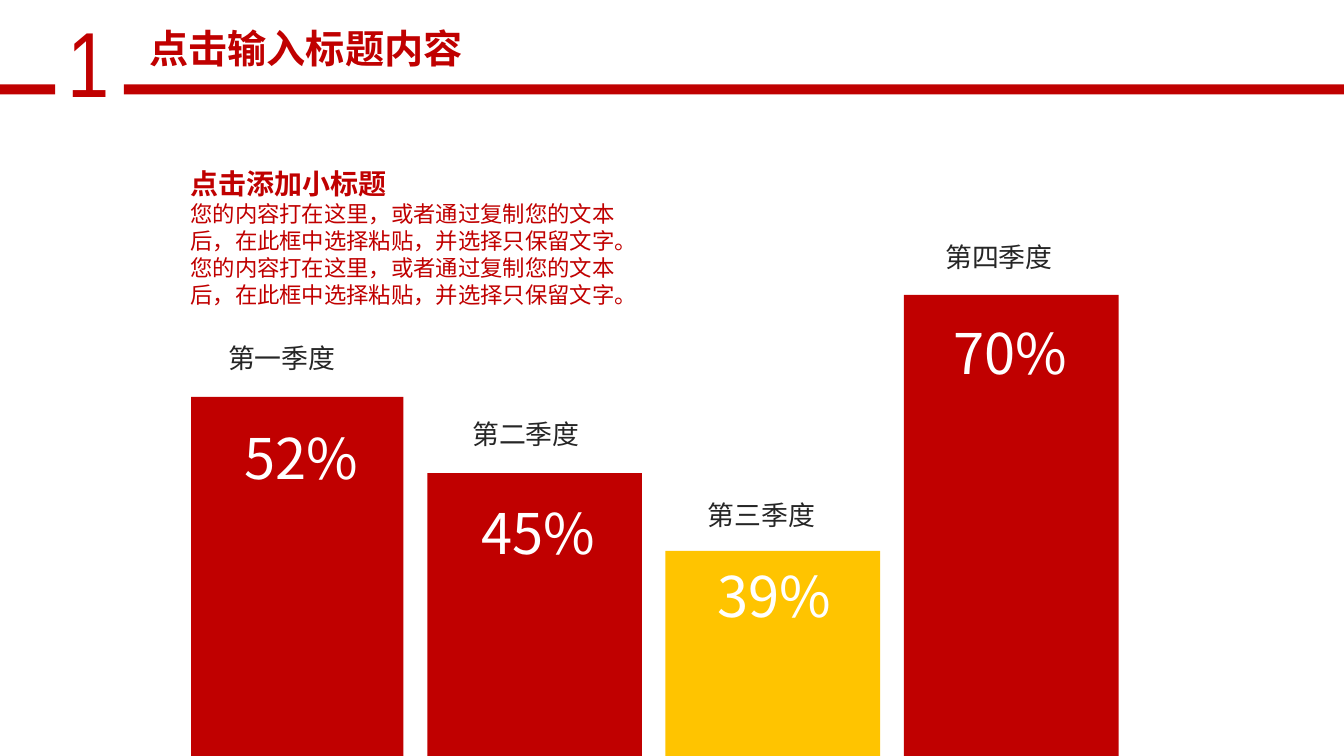
from dataclasses import dataclass

from lxml import etree
from pptx import Presentation
from pptx.dml.color import RGBColor
from pptx.enum.shapes import MSO_SHAPE
from pptx.enum.text import MSO_AUTO_SIZE, PP_ALIGN
from pptx.oxml.ns import qn
from pptx.util import Cm, Pt

RECTANGLE = MSO_SHAPE.RECTANGLE
FIT_SHAPE = MSO_AUTO_SIZE.SHAPE_TO_FIT_TEXT
LEFT, CENTER = PP_ALIGN.LEFT, PP_ALIGN.CENTER
SLIDE_WIDTH, SLIDE_HEIGHT = 33.87, 19.05


@dataclass(frozen=True)
class Theme:
    """Colours, fonts and type sizes of the slide."""

    red: str = "C00000"
    yellow: str = "FFC400"
    white: str = "FFFFFF"
    dark: str = "262626"
    font: str = "Noto Sans CJK SC"
    number_font: str = "Arial Narrow"
    number_size: int = 66
    percent_size: int = 40
    title_size: int = 28
    label_size: int = 24
    subtitle_size: int = 20
    body_size: int = 16


@dataclass(frozen=True)
class Box:
    """Position and size in centimetres."""

    left: float
    top: float
    width: float
    height: float


@dataclass(frozen=True)
class Quarter:
    """One column with its name and percentage."""

    name: str
    percent: str
    color: str
    bar: Box
    name_left: float
    name_top: float
    percent_left: float
    percent_top: float


THEME = Theme()


def column(left: float, top: float, width: float = 5.41) -> Box:
    """Return a column that stands on the bottom edge of the slide."""
    return Box(left, top, width, SLIDE_HEIGHT - top)


QUARTERS = (
    Quarter("第一季度", "52%", THEME.red, column(4.82, 10, 5.35), 5.55, 8.46, 5.92, 10.54),
    Quarter("第二季度", "45%", THEME.red, column(10.77, 11.92), 11.7, 10.36, 11.89, 12.42),
    Quarter("第三季度", "39%", THEME.yellow, column(16.77, 13.88), 17.64, 12.42, 17.83, 14.02),
    Quarter("第四季度", "70%", THEME.red, column(22.78, 7.43), 23.62, 5.92, 23.77, 7.9),
)
HEADER_LINES = (Box(3.12, 2.13, SLIDE_WIDTH - 3.12, 0.25), Box(0, 2.13, 1.39, 0.25))
BODY = "您的内容打在这里，或者通过复制您的文本后，在此框中选择粘贴，并选择只保留文字。"


def add_rectangle(slide, box: Box, color: str) -> None:
    """Draw a plain filled rectangle."""
    shape = slide.shapes.add_shape(
        RECTANGLE, Cm(box.left), Cm(box.top), Cm(box.width), Cm(box.height)
    )
    shape.shadow.inherit = False
    shape.fill.solid()
    shape.fill.fore_color.rgb = RGBColor.from_string(color)
    shape.line.fill.background()


def add_text_frame(slide, box: Box, wrap: bool = True, side: float = 0.25, edge: float = 0.13):
    """Add a text box and return its text frame."""
    shape = slide.shapes.add_textbox(Cm(box.left), Cm(box.top), Cm(box.width), Cm(box.height))
    text_frame = shape.text_frame
    text_frame.word_wrap = wrap
    text_frame.auto_size = FIT_SHAPE
    text_frame.margin_left = text_frame.margin_right = Cm(side)
    text_frame.margin_top = text_frame.margin_bottom = Cm(edge)
    return text_frame


def write(paragraph, text: str, *, size: int, color: str, font: str = THEME.font,
          bold: bool = False, small_caps: bool = False, align=LEFT,
          spacing: float = 1.0) -> None:
    """Write one formatted run into a paragraph."""
    paragraph.alignment = align
    paragraph.line_spacing = spacing
    run = paragraph.add_run()
    run.text = text
    run.font.size = Pt(size)
    run.font.bold = bold
    run.font.color.rgb = RGBColor.from_string(color)
    run.font.name = font
    properties = run._r.get_or_add_rPr()
    etree.SubElement(properties, qn("a:ea")).set("typeface", font)
    if small_caps:
        properties.set("cap", "small")


def add_header(slide) -> None:
    """Draw the section number, the red lines and the title."""
    number = add_text_frame(slide, Box(1.45, 0, 0.86, 3.07))
    write(number.paragraphs[0], "1", size=THEME.number_size, color=THEME.red,
          font=THEME.number_font)
    for line in HEADER_LINES:
        add_rectangle(slide, line, THEME.red)
    title = add_text_frame(slide, Box(3.15, 0.48, 9.12, 1.45))
    write(title.paragraphs[0], "点击输入标题内容", size=THEME.title_size, color=THEME.red,
          bold=True, align=CENTER)


def add_quarter(slide, quarter: Quarter) -> None:
    """Draw a column with its percentage and name."""
    add_rectangle(slide, quarter.bar, quarter.color)
    percent = add_text_frame(
        slide, Box(quarter.percent_left, quarter.percent_top, 3.45, 1.96), wrap=False
    )
    write(percent.paragraphs[0], quarter.percent, size=THEME.percent_size, color=THEME.white)
    name = add_text_frame(
        slide, Box(quarter.name_left, quarter.name_top, 3.91, 1.12), side=0.2, edge=0.1
    )
    write(name.paragraphs[0], quarter.name, size=THEME.label_size, color=THEME.dark,
          small_caps=True, spacing=0.9)


def add_description(slide) -> None:
    """Write the subtitle and its two body paragraphs."""
    text_frame = add_text_frame(slide, Box(4.55, 3.23, 11.71, 4.7))
    write(text_frame.paragraphs[0], "点击添加小标题", size=THEME.subtitle_size,
          color=THEME.red, bold=True, spacing=2.0)
    for _ in range(2):
        write(text_frame.add_paragraph(), BODY, size=THEME.body_size, color=THEME.red)


def main() -> None:
    """Build and save the slide."""
    presentation = Presentation()
    presentation.slide_width = Cm(SLIDE_WIDTH)
    presentation.slide_height = Cm(SLIDE_HEIGHT)
    slide = presentation.slides.add_slide(presentation.slide_layouts[6])
    add_header(slide)
    for quarter in QUARTERS:
        add_quarter(slide, quarter)
    add_description(slide)
    presentation.save("out.pptx")


if __name__ == "__main__":
    main()
